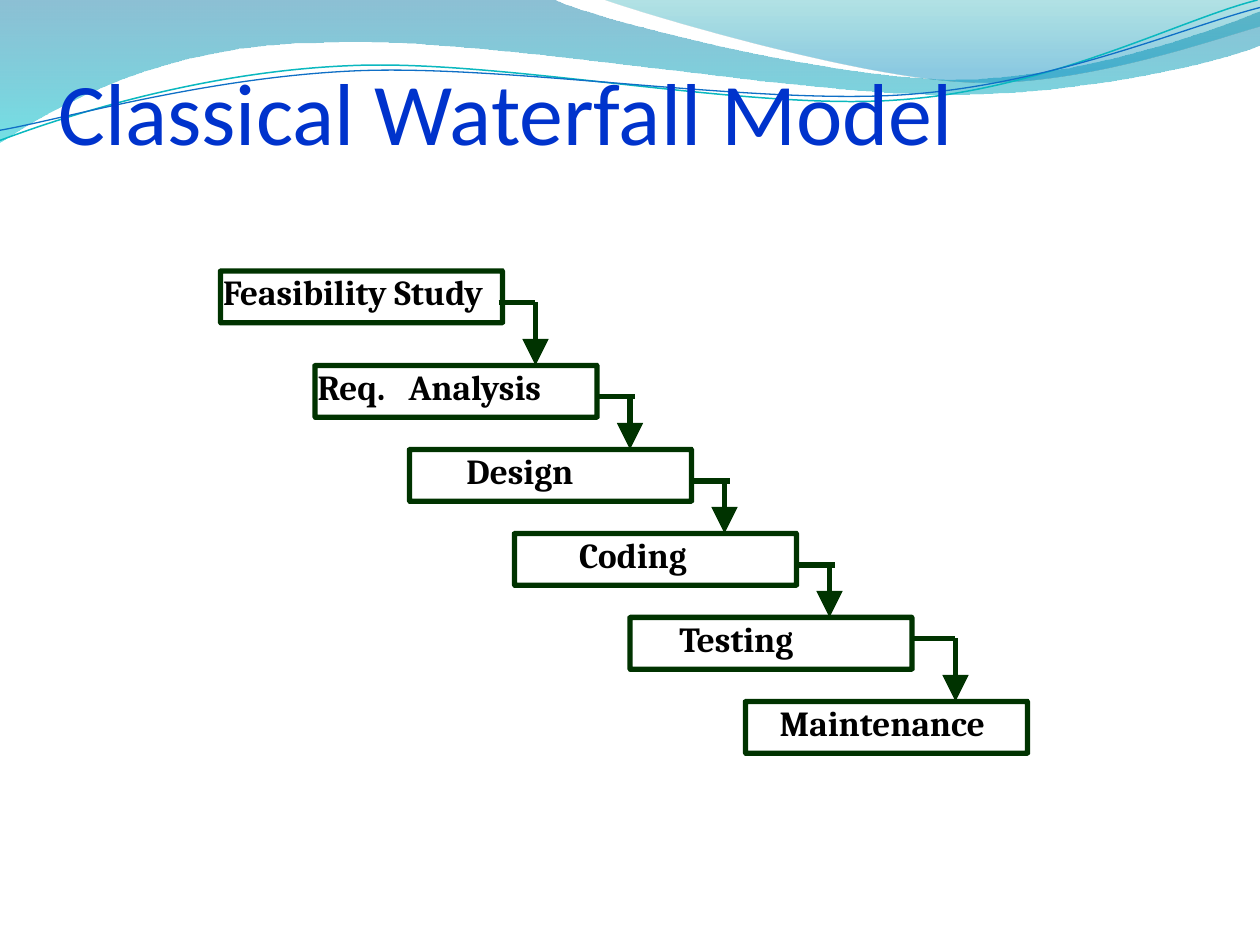
from lxml.etree import SubElement
from pptx import Presentation
from pptx.dml.color import RGBColor
from pptx.enum.shapes import MSO_CONNECTOR as LINK, MSO_SHAPE as FORM
from pptx.enum.text import MSO_ANCHOR as ANCHOR, MSO_AUTO_SIZE as FIT, PP_ALIGN as ALIGN
from pptx.oxml.ns import qn
from pptx.util import Inches, Pt

# Content
TITLE = "Classical Waterfall Model"
HUE = {"title": "0033CC", "text": "000000", "edge": "003300",
       "navy": "0074A1", "aqua": "00C6CF", "teal": "00A1A9", "sky": "008BBF",
       "thin1": "0AB8BF", "thin2": "0F6FC6"}

# Label, column, row, left indent in inches
STEPS = [
    ("Feasibility Study", 21, 25.8, 0),
    ("Req.\tAnalysis", 30, 34.8, 0),
    ("Design", 39, 42.8, 0.43),
    ("Coding", 49, 50.8, 0.49),
    ("Testing", 60, 58.8, 0.37),
    ("Maintenance", 71, 66.8, 0.25),
]
# Arm start, arm end, arrow column and arm row, counted from each box corner
ARMS = [
    (26.5, 30, 30, 3),
    (27, 30.5, 30, 3),
    (27, 30.5, 30, 3),
    (27, 30.5, 30, 3),
    (27, 31, 31, 2),
]
# Outlines: a pair is a straight step, six numbers are a curve
BANDS = [
    ([(0, 0), (4.38, 0), (4.74, 0.17, 6.61, 0.63, 7.55, 0.63),
      (8.5, 0.63, 9.54, 0.26, 9.96, 0.09), (9.96, 0.36),
      (9.79, 0.44, 8.66, 0.76, 7.43, 0.75), (6.19, 0.75, 3.8, 0.28, 2.56, 0.34),
      (1.29, 0.35, 0.46, 0.83, 0, 1.13)],
     [("navy", 0, 45), ("aqua", 1, 55)]),
    ([(4.77, 0), (5.07, 0.11, 6.79, 0.62, 7.66, 0.65),
      (8.52, 0.69, 9.57, 0.32, 9.96, 0.21), (9.96, 0)],
     [("teal", 0, 30), ("sky", 0.8, 45)]),
]
WAVES = [
    ([(0, 1.11), (0.48, 0.93, 1.57, 0.57, 2.75, 0.52),
      (3.94, 0.46, 5.9, 0.88, 7.1, 0.79), (8.29, 0.71, 9.34, 0.15, 9.94, 0)],
     "thin1", 0.85),
    ([(0, 1.03), (0.47, 0.95, 1.63, 0.61, 2.82, 0.56),
      (4.01, 0.51, 5.95, 0.83, 7.14, 0.75), (8.33, 0.67, 9.37, 0.21, 9.96, 0.06)],
     "thin2", 0.75),
]

# Page and grid
WIDE, HIGH = 9.96, 7.47
UNIT = WIDE / 120
BOX = (2.23, 0.41)

deck = Presentation()
deck.slide_width, deck.slide_height = Inches(WIDE), Inches(HIGH)
page = deck.slides.add_slide(deck.slide_layouts[5])
shapes = page.shapes


def tint(name):
    return RGBColor.from_string(HUE[name])


def grid(n):
    return Inches(n * UNIT)


def outline(steps, close):
    """Draw straight steps, then bend each group of three into a curve."""
    pts = [tuple(map(Inches, step[i:i + 2]))
           for step in steps for i in range(0, len(step), 2)]
    pen = shapes.build_freeform(*pts[0])
    pen.add_line_segments(pts[1:], close=close)
    form = pen.convert_to_shape()
    form.shadow.inherit = False
    lines = form._element.iter(qn("a:lnTo"))
    legs = iter(list(lines))
    for step in steps[1:]:
        leg = next(legs)
        if len(step) == 6:
            leg.tag = qn("a:cubicBezTo")
            for _ in range(2):
                spare = next(legs)
                leg.append(spare[0])
                spare.getparent().remove(spare)
    return form


def edge(line, name, width):
    line.color.rgb = tint(name)
    line.width = Pt(width)


def write(frame, text, name, size, font, bold, gap):
    """Fill a frame with one left-aligned run."""
    frame.word_wrap = True
    frame.auto_size = FIT.NONE
    frame.margin_left = frame.margin_right = Inches(0.02)
    frame.margin_top = frame.margin_bottom = Inches(0.05)
    para = frame.paragraphs[0]
    para.alignment = ALIGN.LEFT
    para.space_before = Pt(gap)
    run = para.add_run()
    run.text = text
    run.font.name, run.font.size, run.font.bold = font, Pt(size), bold
    run.font.color.rgb = tint(name)
    return para


def join(x1, y1, x2, y2, arrow=False):
    link = shapes.add_connector(LINK.STRAIGHT, grid(x1), grid(y1), grid(x2), grid(y2))
    edge(link.line, "edge", 3)
    if arrow:
        SubElement(link.line._get_or_add_ln(), qn("a:tailEnd"),
                   type="triangle", w="lg", len="lg")
    SubElement(link._element.spPr, qn("a:effectLst"))


# Header bands and thin waves
for steps, stops in BANDS:
    band = outline(steps, True)
    band.line.fill.background()
    band.fill.gradient()
    band.fill.gradient_angle = 270
    for stop, (name, pos, alpha) in zip(band.fill.gradient_stops, stops):
        stop.color.rgb = tint(name)
        stop.position = pos
        color = stop._gs.find(qn("a:srgbClr"))
        SubElement(color, qn("a:alpha"), val=str(alpha * 1000))

for steps, name, width in WAVES:
    wave = outline(steps, False)
    wave.fill.background()
    edge(wave.line, name, width)

# Title, in front of the header
head = shapes.title
shapes._spTree.append(head._element)
head.left, head.top = Inches(0.44), Inches(0.25)
head.width, head.height = Inches(8.46), Inches(1.24)
head.text_frame.vertical_anchor = ANCHOR.MIDDLE
write(head.text_frame, TITLE, "title", 50, "Calibri", False, 10)

# Steps
for text, col, row, pad in STEPS:
    box = shapes.add_shape(FORM.ROUNDED_RECTANGLE, grid(col), grid(row), *map(Inches, BOX))
    box.adjustments[0] = 0.004
    box.shadow.inherit = False
    box.fill.background()
    edge(box.line, "edge", 3)
    box.text_frame.vertical_anchor = ANCHOR.TOP
    para = write(box.text_frame, text, "text", 20, "Cambria", True, 11.4)
    para.line_spacing = 0.85
    prop = para._p.get_or_add_pPr()
    prop.set("marL", str(Inches(pad)))
    if "\t" in text:
        tabs = SubElement(prop, qn("a:tabLst"))
        SubElement(tabs, qn("a:tab"), pos=str(Inches(0.72)), algn="l")

# Arms and arrows down to the next step
for (_, col, row, _), (_, _, below, _), (start, end, drop, dip) in zip(STEPS, STEPS[1:], ARMS):
    join(col + start, row + dip, col + end, row + dip)
    join(col + drop, row + dip, col + drop, below, arrow=True)

deck.save("out.pptx")
